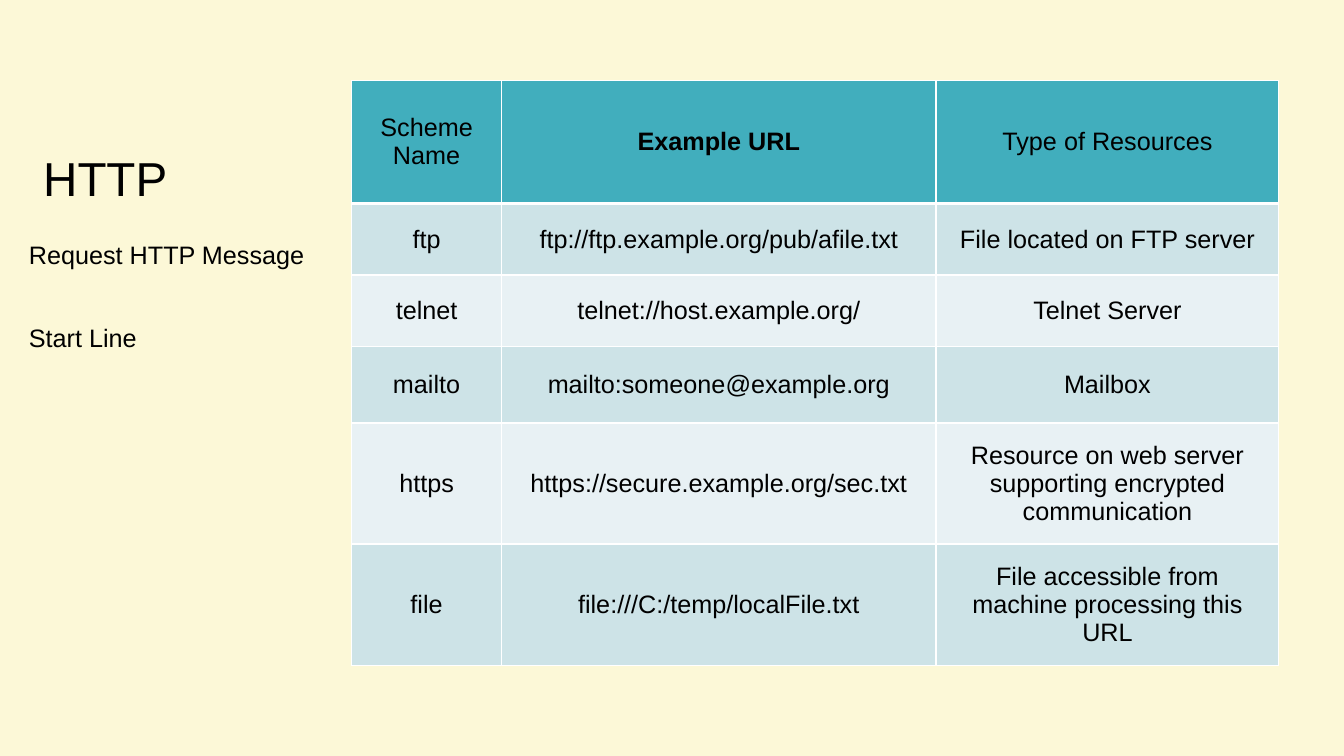
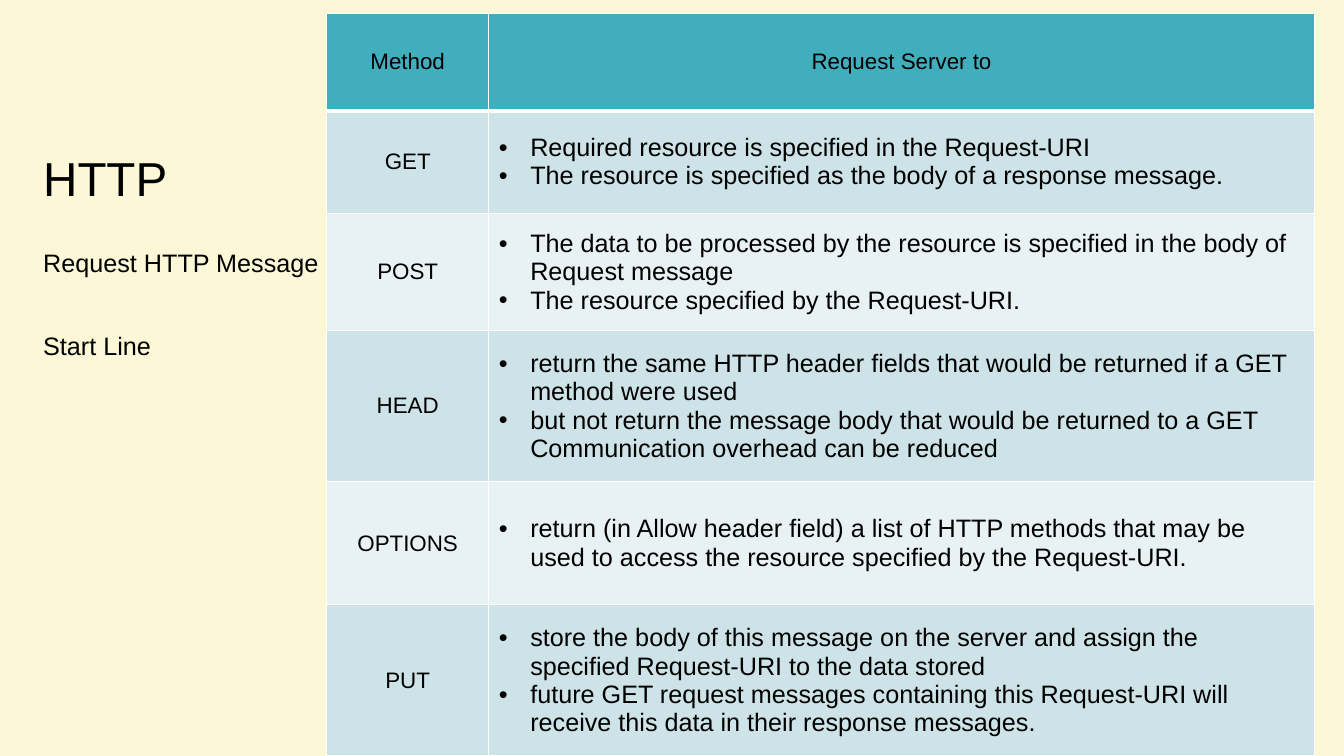
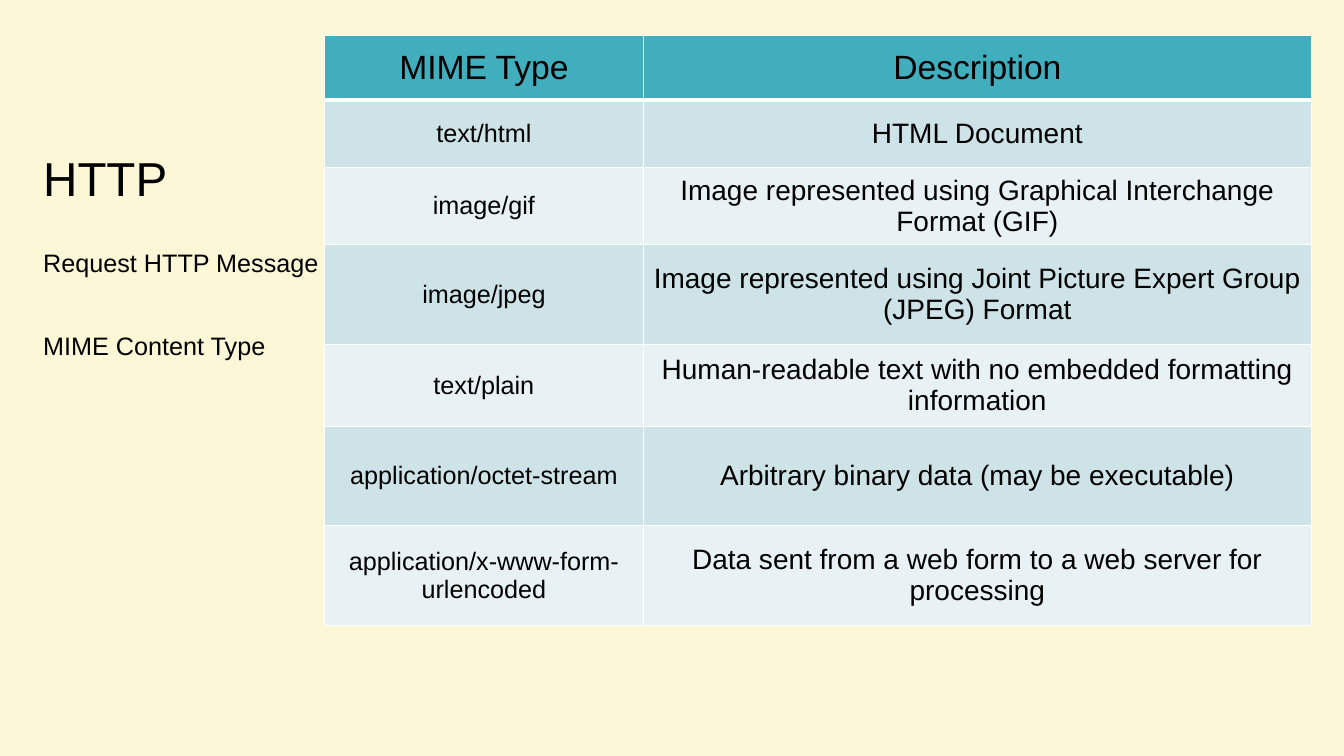
import pptx
import pptx.util
import pptx.dml.color
import pptx.enum.text
import pptx.oxml
import pptx.oxml.ns

Cm = pptx.util.Cm
Pt = pptx.util.Pt
ALIGN = pptx.enum.text.PP_ALIGN
ANCHOR = pptx.enum.text.MSO_ANCHOR

FONT = "Arial"
PAPER, INK, WHITE = "FCF8D7", "000000", "FFFFFF"
HEADER, BANDS = "41AEBD", ("CDE3E7", "E8F1F4")
TITLE_BOX = (0.84, 0.89, 8.48, 4.45)

SCHEMES = [
    ["Scheme Name", "Example URL", "Type of Resources"],
    ["ftp", "ftp://ftp.example.org/pub/afile.txt", "File located on FTP server"],
    ["telnet", "telnet://host.example.org/", "Telnet Server"],
    ["mailto", "mailto:someone@example.org", "Mailbox"],
    ["https", "https://secure.example.org/sec.txt",
     "Resource on web server supporting encrypted\ncommunication"],
    ["file", "file:///C:/temp/localFile.txt",
     "File accessible from machine processing this URL"],
]
METHODS = [
    ["Method", "Request Server to"],
    ["GET", "Required resource is specified in the Request-URI\n"
     "The resource is specified as the body of a response message."],
    ["POST", "The data to be processed by the resource is specified in the body of "
     "Request message\nThe resource specified by the Request-URI."],
    ["HEAD", "return the same HTTP header fields that would be returned if a GET "
     "method were used\nbut not return the message body that would be returned to a GET "
     "Communication overhead can be reduced"],
    ["OPTIONS", "return (in Allow header field) a list of HTTP methods that may be used "
     "to access the resource specified by the Request-URI."],
    ["PUT", "store the body of this message on the server and assign the specified "
     "Request-URI to the data stored\nfuture GET request messages containing this "
     "Request-URI will receive this data in their response messages."],
]
MIME_TYPES = [
    ["MIME Type", "Description"],
    ["text/html", "HTML Document"],
    ["image/gif", "Image represented using Graphical Interchange Format (GIF)"],
    ["image/jpeg", "Image represented using Joint Picture Expert Group (JPEG) Format"],
    ["text/plain", "Human-readable text with no embedded formatting information"],
    ["application/octet-stream", "Arbitrary binary data (may be executable)"],
    ["application/x-www-form-urlencoded",
     "Data sent from a web form to a web server for processing"],
]


def rgb(value):
    """Turn a hex string into a colour."""
    return pptx.dml.color.RGBColor.from_string(value)


def add_xml(parent, tag, body="", **attrs):
    """Append one DrawingML element to the parent."""
    text = " ".join(f'{key}="{value}"' for key, value in attrs.items())
    ns = pptx.oxml.ns.nsdecls("a")
    parent.append(pptx.oxml.parse_xml(f"<a:{tag} {ns} {text}>{body}</a:{tag}>"))


def style(p, size, bold=False):
    """Set the font of a paragraph."""
    p.font.name = FONT
    p.font.size = Pt(size)
    p.font.bold = bold
    p.font.color.rgb = rgb(INK)


def add_bullet(p):
    """Give a paragraph a hanging round bullet."""
    pPr = p._p.get_or_add_pPr()
    pPr.set("marL", str(Cm(0.79)))
    pPr.set("indent", str(-Cm(0.79)))
    add_xml(pPr, "buClr", f'<a:srgbClr val="{INK}"/>')
    add_xml(pPr, "buFont", typeface=FONT)
    add_xml(pPr, "buChar", char="•")


def add_text(slide, box, lines, size, anchor=ANCHOR.TOP, gap=0):
    """Place paragraphs in a box, with a gap between them."""
    tf = slide.shapes.add_textbox(*map(Cm, box)).text_frame
    tf.word_wrap = True
    tf.vertical_anchor = anchor
    tf.text = "\n".join(lines)
    for i, p in enumerate(tf.paragraphs):
        p.line_spacing = 0.9
        if i:
            p.space_before = Pt(gap)
        style(p, size)


def fill_cell(cell, text, row, size, bold, bulleted):
    """Write a cell with its borders and the fill of its row."""
    cell.text = text
    cell.vertical_anchor = ANCHOR.MIDDLE
    tcPr = cell._tc.get_or_add_tcPr()
    for side in "LRTB":
        heavy = (row, side) in ((0, "B"), (1, "T"))
        add_xml(tcPr, "ln" + side,
                f'<a:solidFill><a:srgbClr val="{WHITE}"/></a:solidFill>',
                w=Pt(3 if heavy else 1))
    cell.fill.solid()
    cell.fill.fore_color.rgb = rgb(BANDS[(row - 1) % 2] if row else HEADER)
    for p in cell.text_frame.paragraphs:
        if bulleted:
            add_bullet(p)
        else:
            p.alignment = ALIGN.CENTER
        style(p, size, bold)


def add_grid(slide, origin, widths, heights, rows, head_size, sizes,
             bold_head=None, bullet_col=None):
    """Place a banded table, with one body text size for each column."""
    left, top = origin
    box = (left, top, sum(widths), sum(heights))
    table = slide.shapes.add_table(len(rows), len(widths), *map(Cm, box)).table
    for column, width in zip(table.columns, widths):
        column.width = Cm(width)
    for r, (row, height) in enumerate(zip(rows, heights)):
        table.rows[r].height = Cm(height)
        for c, text in enumerate(row):
            fill_cell(table.cell(r, c), text, r, sizes[c] if r else head_size,
                      r == 0 and c == bold_head, r > 0 and c == bullet_col)


def add_topic(prs, topic, body_origin, **grid):
    """Add a slide with the title, the topic lines and a table."""
    slide = prs.slides.add_slide(prs.slide_layouts[6])
    add_text(slide, TITLE_BOX, ["HTTP"], 34, ANCHOR.BOTTOM)
    add_text(slide, (*body_origin, 8.84, 10.59), ["Request HTTP Message", topic], 18, gap=40)
    add_grid(slide, **grid)


def main():
    """Build the three slides and save them."""
    prs = pptx.Presentation()
    prs.slide_width, prs.slide_height = Cm(33.87), Cm(19.05)
    fill = prs.slide_master.background.fill
    fill.solid()
    fill.fore_color.rgb = rgb(PAPER)
    add_topic(prs, "Start Line", (0.48, 5.99), origin=(8.86, 2.03),
              widths=(3.78, 10.95, 8.64), heights=(3.1, 1.8, 1.8, 1.93, 3.05, 3.05),
              rows=SCHEMES, head_size=18, sizes=(18, 18, 18), bold_head=1)
    add_topic(prs, "Start Line", (0.84, 6.2), origin=(8.23, 0.33),
              widths=(4.09, 20.8), heights=(2.46, 2.59, 2.95, 3.81, 3.1, 3.81),
              rows=METHODS, head_size=16, sizes=(16, 18), bullet_col=1)
    add_topic(prs, "MIME Content Type", (0.84, 6.2), origin=(8.18, 0.89),
              widths=(8.03, 16.84), heights=(1.63, 1.7, 1.93, 2.51, 2.06, 2.51, 2.51),
              rows=MIME_TYPES, head_size=24, sizes=(18, 20))
    prs.save("out.pptx")


if __name__ == "__main__":
    main()
